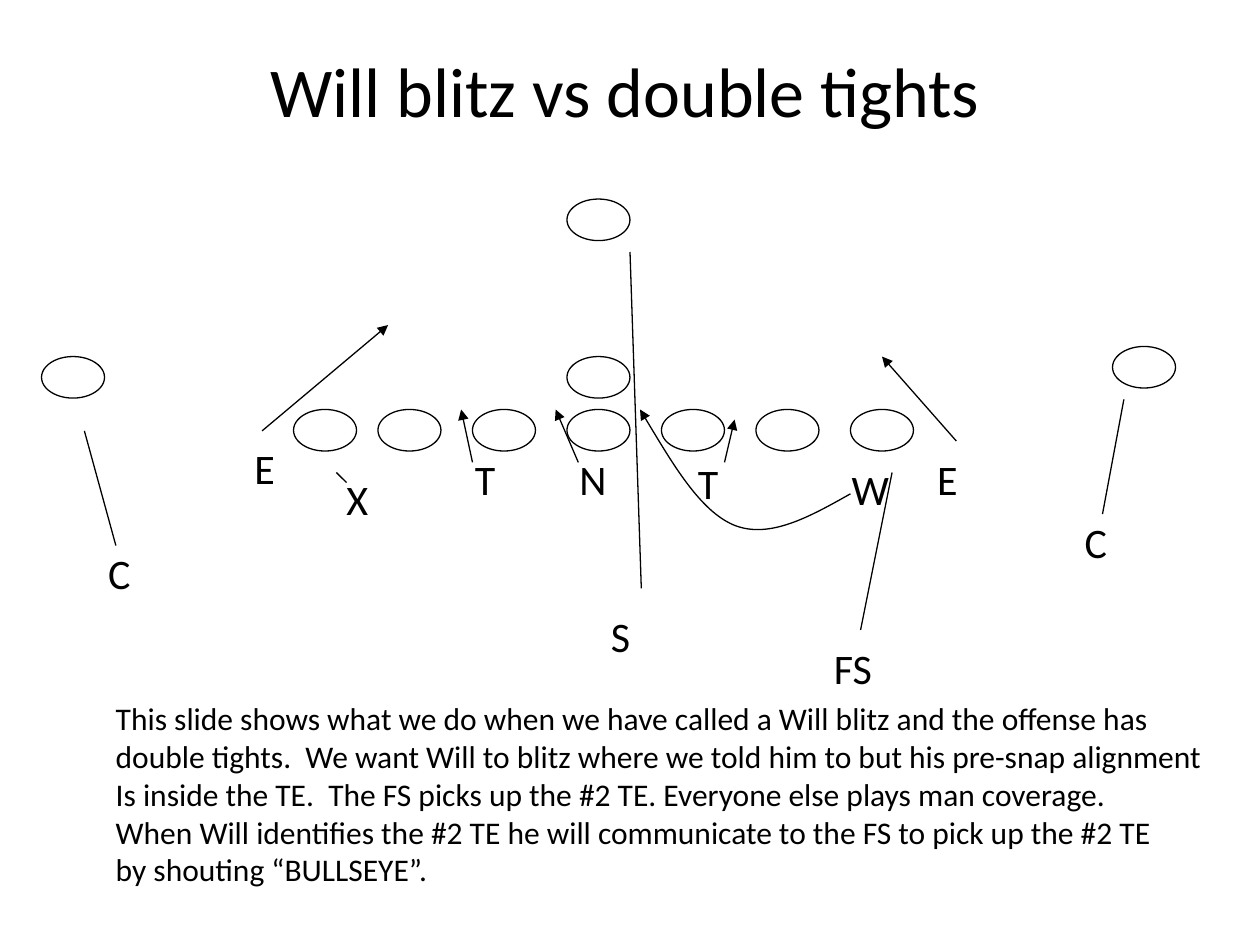
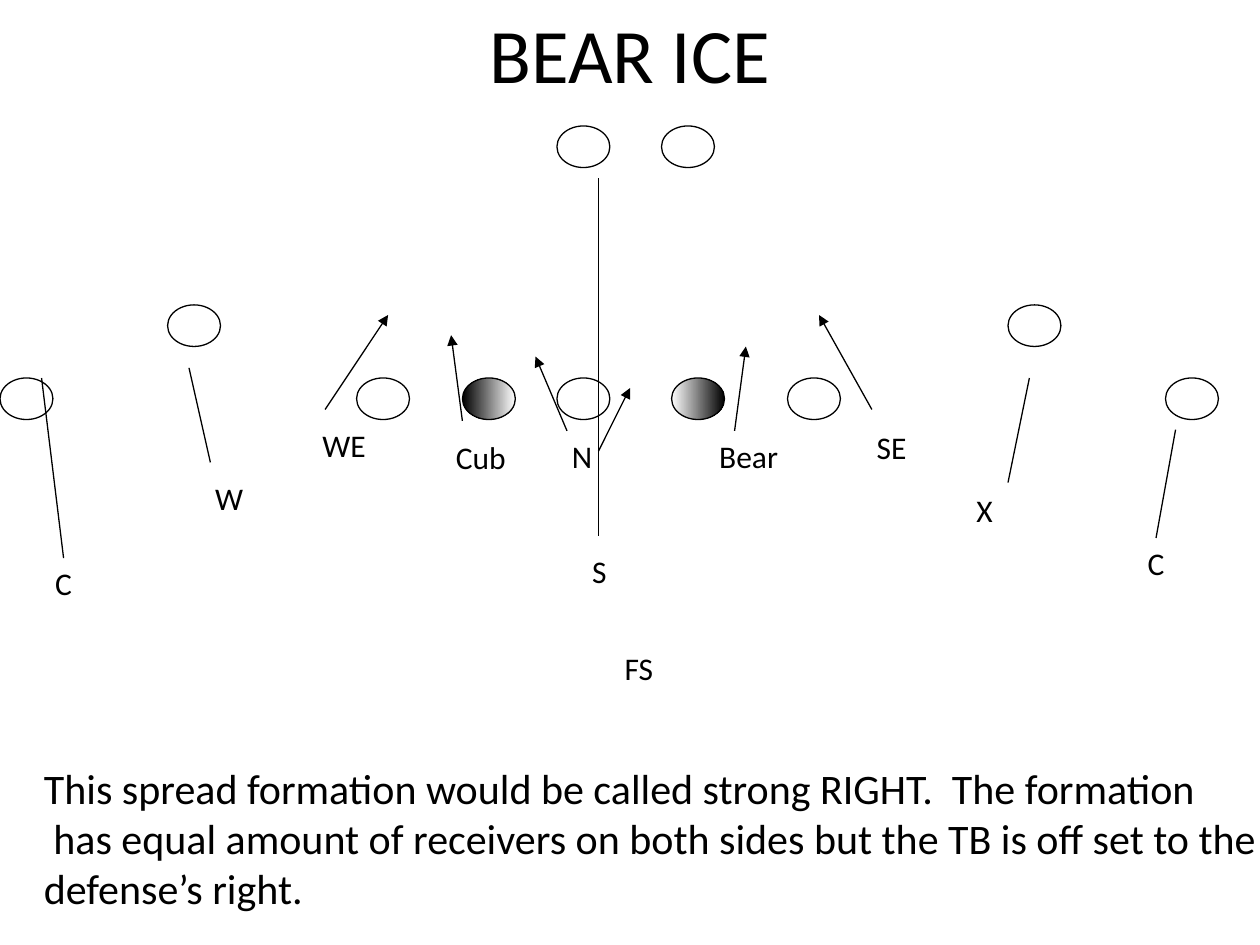
import pptx
import pptx.dml.color
import pptx.enum.shapes
import pptx.enum.text
import pptx.oxml
import pptx.oxml.ns
import pptx.util
from pptx.util import Inches

COLORS = {"ink": "000000", "paper": "FFFFFF"}
FONT = "Calibri"
LINE_WIDTH = 0.75
PLAYER_HEIGHT = 0.33
SNAP_DISTANCE = 0.03
ARROW, PLAIN = True, False

PLAYS = [
    {
        "title": ("Will blitz vs double tights", (0.25, 0.33, 9.42, 1.25), 40),
        "player_width": 0.5,
        "players": [
            (3.25, [2.33, 3, 3.75, 4.5, 5.25, 6, 6.75]),
            (2.83, [0.33, 4.5]),
            (2.75, [8.83]),
            (1.58, [4.5]),
        ],
        "shaded": {},
        "label_size": 24,
        "label_height": 0.5,
        "labels": [
            ("N", 4.5, 3.55, 0.41), ("T", 3.67, 3.55, 0.36), ("E", 1.92, 3.46, 0.36),
            ("X", 2.65, 3.71, 0.37), ("T", 5.44, 3.58, 0.36), ("E", 7.34, 3.55, 0.36),
            ("W", 6.66, 3.63, 0.49), ("C", 0.76, 4.3, 0.38), ("S", 4.75, 4.8, 0.35),
            ("C", 8.51, 4.05, 0.38), ("FS", 6.52, 5.05, 0.52),
        ],
        "routes": [
            ((0.67, 3.42), (0.92, 4.33), PLAIN),
            ((8.92, 3.17), (8.75, 4.08), PLAIN),
            ((2.08, 3.42), (3.08, 2.58), ARROW),
            ((2.67, 3.75), (2.75, 3.83), PLAIN),
            ((3.75, 3.67), (3.66, 3.25), ARROW),
            ((4.59, 3.67), (4.41, 3.25), ARROW),
            ((5.75, 3.67), (5.83, 3.33), ARROW),
            ((7.59, 3.5), (7, 2.83), ARROW),
            ((6.83, 5), (7.08, 3.75), PLAIN),
            ((5.09, 4.67), (5, 2), PLAIN),
        ],
        "blitz_curves": [
            [(6.75, 3.92), (6.43, 4.1), (6.11, 4.28), (5.83, 4.17),
             (5.56, 4.06), (5.32, 3.65), (5.08, 3.25)],
        ],
        "notes": ([
            "This slide shows what we do when we have called a Will blitz and the offense has",
            "double tights.  We want Will to blitz where we told him to but his pre-snap alignment",
            "Is inside the TE.  The FS picks up the #2 TE. Everyone else plays man coverage.",
            "When Will identifies the #2 TE he will communicate to the FS to pick up the #2 TE",
            "by shouting “BULLSEYE”.",
        ], (0.82, 5.5, 8.85, 1.6), 18),
    },
    {
        "title": ("BEAR ICE", (0.75, 0, 8.5, 1.25), 44),
        "player_width": 0.42,
        "players": [
            (3, [0, 2.83, 3.67, 4.42, 5.33, 6.25, 9.25]),
            (2.42, [1.33, 8]),
            (1, [4.42, 5.25]),
        ],
        "shaded": {(3.67, 3): ("ink", "paper"), (5.33, 3): ("paper", "ink")},
        "label_size": 18,
        "label_height": 0.4,
        "labels": [
            ("C", 9.01, 4.27, 0.33), ("X", 7.65, 3.85, 0.33), ("SE", 6.86, 3.35, 0.47),
            ("N", 4.44, 3.42, 0.36), ("Cub", 3.52, 3.43, 0.63), ("Bear", 5.61, 3.42, 0.7),
            ("W", 1.61, 3.75, 0.42), ("WE", 2.46, 3.33, 0.58), ("C", 0.34, 4.43, 0.33),
            ("S", 4.6, 4.33, 0.31), ("FS", 4.86, 5.1, 0.45),
        ],
        "routes": [
            ((9.17, 4.25), (9.33, 3.41), PLAIN),
            ((0.5, 4.42), (0.33, 3), PLAIN),
            ((8, 3.83), (8.17, 3), PLAIN),
            ((4.5, 3.42), (4.25, 2.83), ARROW),
            ((3.67, 3.34), (3.58, 2.66), ARROW),
            ((5.83, 3.42), (5.92, 2.75), ARROW),
            ((4.75, 4.25), (4.75, 1.41), PLAIN),
            ((2.58, 3.25), (3.08, 2.5), ARROW),
            ((4.75, 3.58), (5, 3.08), ARROW),
            ((6.92, 3.25), (6.5, 2.5), ARROW),
            ((1.5, 2.92), (1.67, 3.67), PLAIN),
        ],
        "blitz_curves": [],
        "notes": ([
            "This spread formation would be called strong RIGHT.  The formation",
            " has equal amount of receivers on both sides but the TB is off set to the",
            "defense’s right.",
        ], (0.25, 6, 9.92, 1.3), 24),
    },
]


def color(name):
    return pptx.dml.color.RGBColor.from_string(COLORS[name])


def add_text(slide, lines, box, size, centered=False, wrap=False):
    shape = slide.shapes.add_textbox(*map(Inches, box))
    frame = shape.text_frame
    frame.word_wrap = wrap
    if not wrap:
        frame.auto_size = pptx.enum.text.MSO_AUTO_SIZE.SHAPE_TO_FIT_TEXT
    for index, line in enumerate(lines):
        paragraph = frame.paragraphs[0] if index == 0 else frame.add_paragraph()
        paragraph.text = line
        if centered:
            paragraph.alignment = pptx.enum.text.PP_ALIGN.CENTER
        paragraph.font.name = FONT
        paragraph.font.size = pptx.util.Pt(size)
        paragraph.font.color.rgb = color("ink")
    return shape


def style_line(shape, arrow=False):
    shape.line.color.rgb = color("ink")
    shape.line.width = pptx.util.Pt(LINE_WIDTH)
    if arrow:
        line = shape.line._get_or_add_ln()
        line.append(line.makeelement(pptx.oxml.ns.qn("a:tailEnd"), {"type": "triangle"}))


def add_player(slide, left, top, width, shades=None):
    shape = slide.shapes.add_shape(
        pptx.enum.shapes.MSO_SHAPE.OVAL, *map(Inches, (left, top, width, PLAYER_HEIGHT)))
    shape.shadow.inherit = False
    if shades:
        shape.fill.gradient()
        shape.fill.gradient_angle = 0
        for stop, shade in zip(shape.fill.gradient_stops, shades):
            stop.color.rgb = color(shade)
    else:
        shape.fill.solid()
        shape.fill.fore_color.rgb = color("paper")
    style_line(shape)


def touches_top(label, point):
    gap_x = abs(label.left + label.width / 2 - Inches(point[0]))
    gap_y = abs(label.top - Inches(point[1]))
    return max(gap_x, gap_y) < Inches(SNAP_DISTANCE)


def add_route(slide, start, end, arrow, labels):
    connector = slide.shapes.add_connector(
        pptx.enum.shapes.MSO_CONNECTOR.STRAIGHT, *map(Inches, start + end))
    for label in labels:
        if touches_top(label, start):
            connector.begin_connect(label, 0)
    style_line(connector, arrow)
    properties = connector._element.spPr
    properties.append(properties.makeelement(pptx.oxml.ns.qn("a:effectLst")))


def add_blitz_curve(slide, points):
    start, *controls = [tuple(map(Inches, point)) for point in points]
    builder = slide.shapes.build_freeform(*start)
    builder.add_line_segments(controls, close=False)
    shape = builder.convert_to_shape()
    shape.shadow.inherit = False
    shape.fill.background()
    style_line(shape, ARROW)
    segments = list(shape._element.iter(pptx.oxml.ns.qn("a:lnTo")))
    for index in range(0, len(segments), 3):
        outline = segments[index].getparent()
        curve = outline.makeelement(pptx.oxml.ns.qn("a:cubicBezTo"))
        for segment in segments[index:index + 3]:
            curve.append(segment[0])
            outline.remove(segment)
        outline.append(curve)


def build_play(presentation, play):
    slide = presentation.slides.add_slide(presentation.slide_layouts[6])
    for top, lefts in play["players"]:
        for left in lefts:
            add_player(slide, left, top, play["player_width"], play["shaded"].get((left, top)))
    title, box, size = play["title"]
    add_text(slide, [title], box, size, centered=True, wrap=True)
    labels = [
        add_text(slide, [name], (left, top, width, play["label_height"]), play["label_size"])
        for name, left, top, width in play["labels"]
    ]
    for start, end, arrow in play["routes"]:
        add_route(slide, start, end, arrow, labels)
    for points in play["blitz_curves"]:
        add_blitz_curve(slide, points)
    add_text(slide, *play["notes"])


def main():
    presentation = pptx.Presentation()
    presentation.slide_width = Inches(10)
    presentation.slide_height = Inches(7.5)
    for play in PLAYS:
        build_play(presentation, play)
    presentation.save("out.pptx")


if __name__ == "__main__":
    main()
